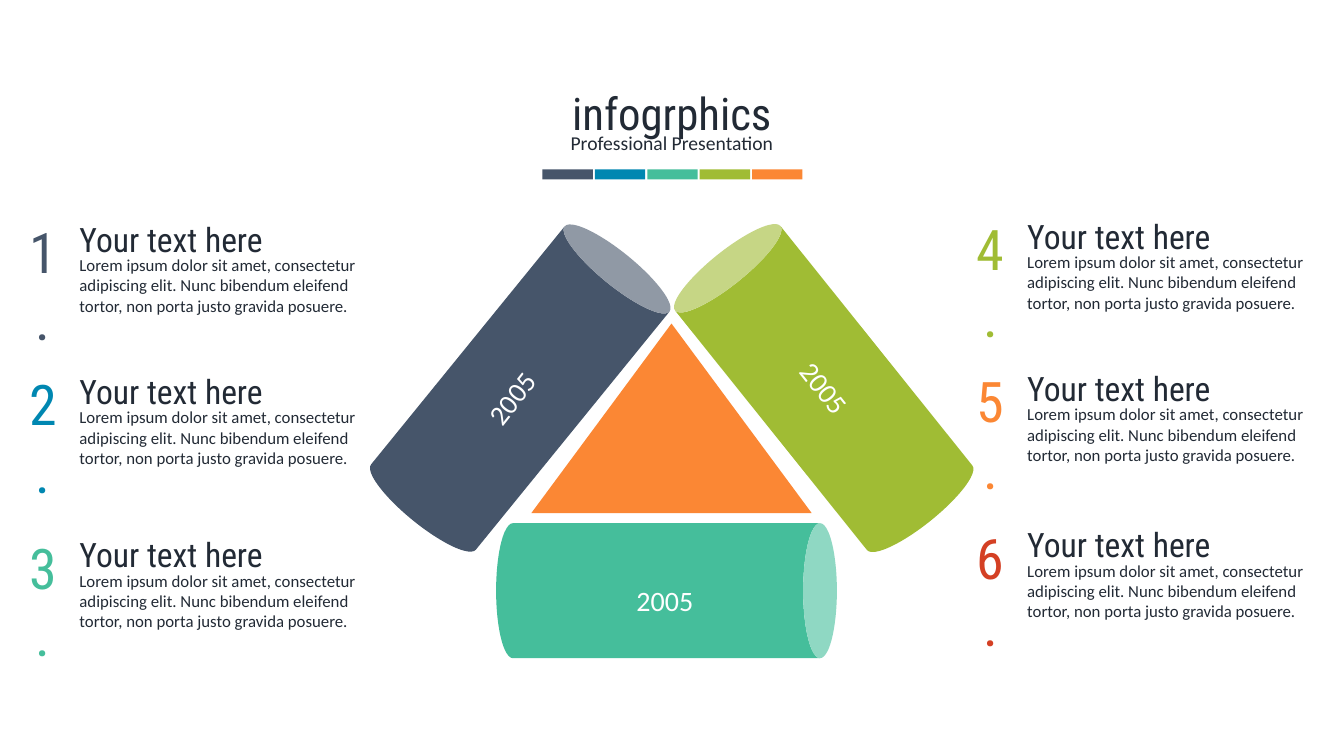
"""Build an infographic slide with three cylinders around a triangle and six numbered texts."""
from pptx import Presentation
from pptx.dml.color import RGBColor
from pptx.enum import shapes, text
from pptx.util import Inches, Pt

INK = RGBColor(0x22, 0x2A, 0x35)
WHITE = RGBColor(0xFF, 0xFF, 0xFF)
SLATE = RGBColor(0x46, 0x55, 0x6A)
BLUE = RGBColor(0x00, 0x87, 0xB1)
TEAL = RGBColor(0x45, 0xBE, 0x9B)
GREEN = RGBColor(0xA0, 0xBC, 0x34)
ORANGE = RGBColor(0xFB, 0x87, 0x34)
RED = RGBColor(0xD4, 0x40, 0x24)

HEADING_FONT = "Roboto Condensed"
BODY_FONT = "Calibri"
LEFT, CENTER = text.PP_ALIGN.LEFT, text.PP_ALIGN.CENTER
SHAPE = shapes.MSO_SHAPE
LOREM = ("Lorem ipsum dolor sit amet, consectetur adipiscing elit. "
         "Nunc bibendum eleifend tortor, non porta justo gravida posuere.")


def place(sp, x, y, w, h):
    sp.left, sp.top, sp.width, sp.height = (Inches(v) for v in (x, y, w, h))


def write(sp, content, size, font=BODY_FONT, color=INK, align=LEFT):
    tf = sp.text_frame
    tf.word_wrap = True
    tf.auto_size = text.MSO_AUTO_SIZE.NONE
    tf.vertical_anchor = text.MSO_ANCHOR.TOP
    p = tf.paragraphs[0]
    p.alignment = align
    p.space_before = Pt(0)
    r = p.add_run()
    r.text = content
    r.font.size = Pt(size)
    r.font.name = font
    r.font.color.rgb = color


def add_label(s, x, y, w, h, content, size, rotation=0, **fmt):
    sp = s.shapes.add_textbox(Inches(x), Inches(y), Inches(w), Inches(h))
    sp.rotation = rotation
    write(sp, content, size, **fmt)


def add_block(s, kind, x, y, w, h, color, rotation=0):
    sp = s.shapes.add_shape(kind, Inches(x), Inches(y), Inches(w), Inches(h))
    sp.shadow.inherit = False
    sp.fill.solid()
    sp.fill.fore_color.rgb = color
    sp.line.fill.background()
    sp.rotation = rotation


def add_header(s):
    title, subtitle = s.placeholders
    place(title, 0, 0.8, 13.33, 0.64)
    write(title, "infogrphics", 32, font=HEADING_FONT, align=CENTER)
    place(subtitle, 0.68, 1.25, 11.97, 0.34)
    write(subtitle, "Professional Presentation", 14, align=CENTER)
    for i, color in enumerate((SLATE, BLUE, TEAL, GREEN, ORANGE)):
        add_block(s, SHAPE.RECTANGLE, 5.38 + i * 0.52, 1.68, 0.5, 0.1, color)


def add_cylinders(s):
    for x, y, rotation, color in ((4.49, 2.16, 39.1, SLATE),
                                  (7.5, 2.16, 321.3, GREEN),
                                  (5.94, 4.17, 90, TEAL)):
        add_block(s, SHAPE.CAN, x, y, 1.34, 3.38, color, rotation)
    add_block(s, SHAPE.ISOSCELES_TRIANGLE, 5.27, 3.21, 2.78, 1.88, ORANGE)
    for x, y, rotation in ((5.58, 5.74, 0), (4.06, 3.73, 308.4), (7.16, 3.63, 51.6)):
        add_label(s, x, y, 2.03, 0.44, "2005", 20, rotation, color=WHITE, align=CENTER)


def add_item(s, number, x, y, color):
    add_label(s, x, y + 0.36, 3.17, 0.71, LOREM, 12)
    add_label(s, x, y, 3.17, 0.5, "Your text here", 24, font=HEADING_FONT)
    add_label(s, x - 0.53, y - 0.01, 0.53, 0.77, f"{number}.", 40,
              font=HEADING_FONT, color=color, align=CENTER)


def main():
    prs = Presentation()
    prs.slide_width, prs.slide_height = Inches(13.33), Inches(7.5)
    s = prs.slides.add_slide(prs.slide_layouts[0])
    add_header(s)
    add_cylinders(s)
    items = ((0.69, 2.12, SLATE), (0.69, 3.63, BLUE), (0.69, 5.25, TEAL),
             (10.09, 2.09, GREEN), (10.09, 3.6, ORANGE), (10.09, 5.15, RED))
    for number, (x, y, color) in enumerate(items, 1):
        add_item(s, number, x, y, color)
    prs.save("out.pptx")


if __name__ == "__main__":
    main()
